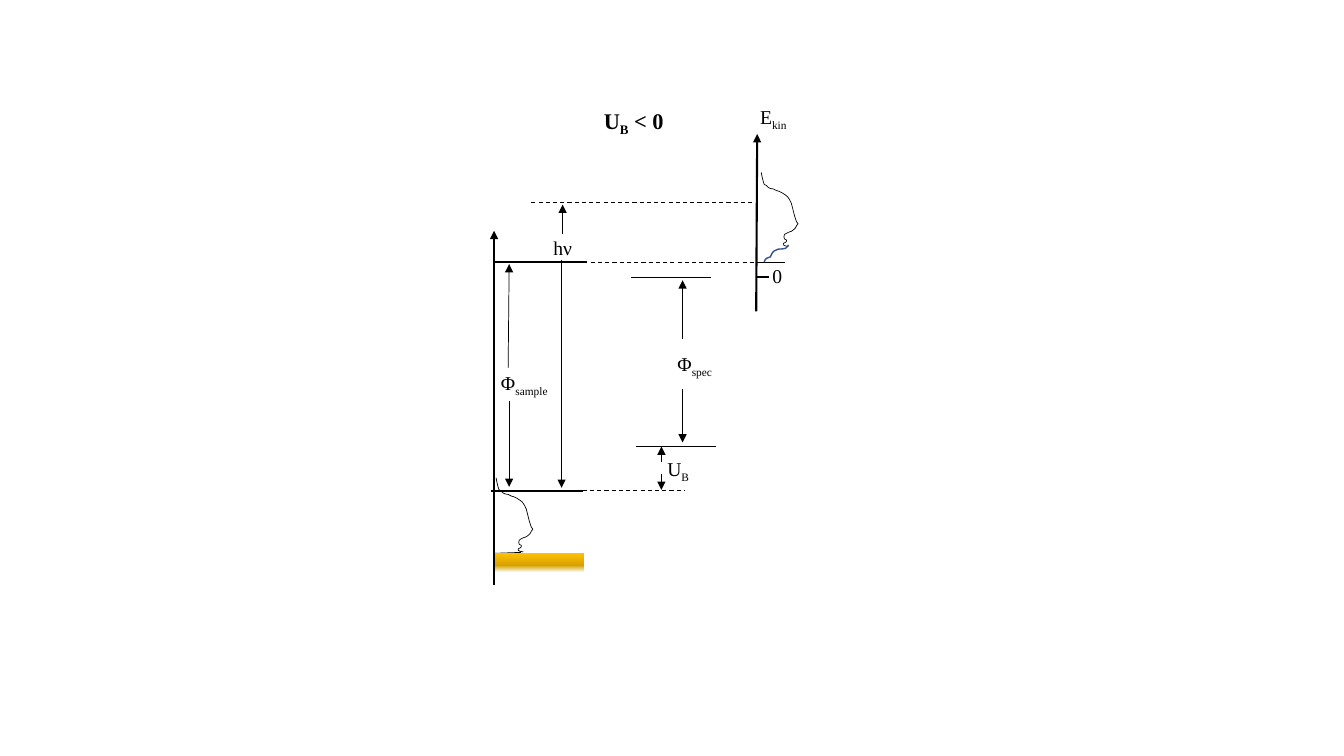
from lxml import etree
from pptx import Presentation
from pptx import util as u
from pptx.dml.color import RGBColor
from pptx.enum import dml, shapes, text
from pptx.oxml.ns import qn

FONT = "Times New Roman"
BLACK, BLUE = "000000", "325491"

# Emission spectrum, as steps from its upper end
SPECTRUM = [
    (0, 0), (0.01, 0.05), (0.02, 0.09), (0.03, 0.12), (0.05, 0.13), (0.07, 0.15),
    (0.09, 0.16), (0.12, 0.165), (0.15, 0.18), (0.18, 0.19), (0.21, 0.205),
    (0.24, 0.225), (0.26, 0.24), (0.28, 0.27), (0.3, 0.31), (0.31, 0.35),
    (0.32, 0.39), (0.33, 0.43), (0.34, 0.46), (0.35, 0.49), (0.365, 0.51),
    (0.35, 0.53), (0.34, 0.55), (0.32, 0.57), (0.3, 0.585), (0.27, 0.595),
    (0.24, 0.61), (0.23, 0.62), (0.225, 0.64), (0.23, 0.66), (0.25, 0.67),
    (0.25, 0.685), (0.24, 0.695), (0.22, 0.705), (0.22, 0.72), (0.24, 0.73),
    (0.27, 0.735),
]
# Secondary electron tail, as steps from its upper end
SECONDARIES = [
    (0, 0), (-0.01, 0.015), (-0.02, 0.025), (-0.03, 0.035), (-0.06, 0.04),
    (-0.1, 0.042), (-0.12, 0.05), (-0.14, 0.06), (-0.16, 0.08), (-0.17, 0.1),
    (-0.18, 0.12), (-0.21, 0.13), (-0.23, 0.145), (-0.24, 0.17),
]


def color(code):
    return RGBColor.from_string(code)


def add_text(slide, left, top, width, runs, size=14, bold=False, wrap=False,
             side=0.1, height=0.34):
    """Runs are (string, is_subscript) pairs."""
    label = slide.shapes.add_textbox(*map(u.Inches, (left, top, width, height)))
    frame = label.text_frame
    frame.word_wrap = wrap
    frame.auto_size = text.MSO_AUTO_SIZE.SHAPE_TO_FIT_TEXT
    frame.margin_left = frame.margin_right = u.Inches(side)
    for string, subscript in runs:
        run = frame.paragraphs[0].add_run()
        run.text = string
        font = run.font
        font.name, font.size, font.bold = FONT, u.Pt(size), bold
        font.color.rgb = color(BLACK)
        if subscript:
            font._element.set("baseline", "-25000")


def add_line(slide, x1, y1, x2, y2, weight=0.5, arrow=False, dashed=False):
    line = slide.shapes.add_connector(
        shapes.MSO_CONNECTOR.STRAIGHT, *map(u.Inches, (x1, y1, x2, y2)))
    line.line.color.rgb = color(BLACK)
    line.line.width = u.Pt(weight)
    if dashed:
        line.line.dash_style = dml.MSO_LINE.DASH
    if arrow:
        etree.SubElement(line.line._get_or_add_ln(), qn("a:tailEnd"), type="triangle")
    etree.SubElement(line._element.spPr, qn("a:effectLst"))


def add_curve(slide, left, top, steps, stroke=BLACK, weight=0.5):
    points = [(u.Inches(left + dx), u.Inches(top + dy)) for dx, dy in steps]
    builder = slide.shapes.build_freeform(*points[0])
    builder.add_line_segments(points[1:], close=False)
    curve = builder.convert_to_shape()
    curve.shadow.inherit = False
    curve.fill.background()
    curve.line.color.rgb = color(stroke)
    curve.line.width = u.Pt(weight)


def add_band(slide, left, top, width, height):
    band = slide.shapes.add_shape(
        shapes.MSO_SHAPE.RECTANGLE, *map(u.Inches, (left, top, width, height)))
    band.shadow.inherit = False
    band.line.fill.background()
    band.fill.gradient()
    band.fill.gradient_angle = 90
    stops = band._element.spPr.find(".//" + qn("a:gsLst"))
    for stop in list(stops):
        stops.remove(stop)
    for percent, code in ((0, "FFFFFF"), (37, "D7A200"), (100, "FFC000")):
        stop = etree.SubElement(stops, qn("a:gs"), pos=str(percent * 1000))
        etree.SubElement(stop, qn("a:srgbClr"), val=code)


def draw_sample(slide, left, top):
    vacuum, fermi, band_top = top + 0.31, top + 2.58, top + 3.2
    # Energy axis and levels
    add_line(slide, left, top + 3.51, left, top, 1.5, arrow=True)
    add_line(slide, left + 0.01, vacuum, left + 0.92, vacuum, 1)
    add_line(slide, left - 0.03, fermi, left + 0.88, fermi, 1)
    # Work function
    arrow_x = left + 0.15
    add_line(slide, arrow_x - 0.01, top + 1.36, arrow_x, vacuum + 0.02, arrow=True)
    add_line(slide, arrow_x, top + 1.69, arrow_x, fermi - 0.04, arrow=True)
    add_text(slide, left - 0.03, top + 1.34, 0.72, [("Φ", False), ("sample", True)])
    # Photon energy
    photon_x = left + 0.67
    add_line(slide, photon_x + 0.01, top + 0.03, photon_x + 0.01, top - 0.26, arrow=True)
    add_line(slide, photon_x, vacuum - 0.02, photon_x, fermi - 0.03, arrow=True)
    add_text(slide, left + 0.49, top, 0.39, [("hν", False)])
    # Occupied states
    add_curve(slide, left + 0.02, fermi - 0.13, SPECTRUM)
    add_line(slide, left + 0.27, band_top - 0.01, left - 0.01, band_top)
    add_band(slide, left + 0.01, band_top, 0.88, 0.19)


def draw_spectrometer_levels(slide, left, top):
    fermi, sample_fermi = top + 1.68, top + 2.12
    # Levels
    for level_left, level in ((left, top), (left + 0.05, fermi)):
        add_line(slide, level_left, level, level_left + 0.79, level, 1)
    # Work function
    arrow_x = left + 0.51
    add_line(slide, arrow_x, top + 0.61, arrow_x, top + 0.03, arrow=True)
    add_line(slide, arrow_x, top + 1.11, arrow_x, fermi - 0.04, arrow=True)
    add_text(slide, left + 0.36, top + 0.69, 0.58, [("Φ", False), ("spec", True)])
    # Bias
    bias_x = left + 0.3
    add_line(slide, bias_x, fermi + 0.15, bias_x, fermi, arrow=True)
    add_line(slide, bias_x, fermi + 0.27, bias_x, sample_fermi - 0.01, arrow=True)
    add_text(slide, left + 0.26, fermi + 0.05, 0.43, [("U", False), ("B", True)])


def draw_kinetic_axis(slide, left, top):
    cutoff, zero = top + 1.61, top + 1.76
    # Axis with zero mark
    add_line(slide, left, top + 2.1, left + 0.01, top + 0.34, 1.5, arrow=True)
    add_line(slide, left, zero, left + 0.13, zero, 1.5)
    add_text(slide, left + 0.16, zero - 0.18, 0.05, [("0", False)], wrap=True, side=0)
    add_text(slide, left - 0.06, top, 0.5, [("E", False), ("kin", True)], wrap=True)
    # Measured spectrum
    add_curve(slide, left + 0.05, top + 0.72, SPECTRUM)
    add_line(slide, left + 0.29, cutoff, left + 0.01, cutoff)
    add_curve(slide, left + 0.32, top + 1.44, SECONDARIES, stroke=BLUE, weight=1)


def draw_alignment(slide, left, top):
    # Dashed links between the sample and the spectrometer
    for start, end, drop in ((0, 2.2, 0), (0.59, 2.22, 0.59), (0.51, 1.52, 2.86)):
        add_line(slide, left + start, top + drop, left + end, top + drop, 0.75, dashed=True)


def main():
    deck = Presentation()
    deck.slide_width, deck.slide_height = u.Inches(13.33), u.Inches(7.5)
    slide = deck.slides.add_slide(deck.slide_layouts[6])
    draw_alignment(slide, 5.27, 2.01)
    draw_sample(slide, 4.9, 2.29)
    draw_spectrometer_levels(slide, 6.26, 2.75)
    draw_kinetic_axis(slide, 7.5, 0.99)
    add_text(slide, 5.89, 1.01, 0.83, [("U", False), ("B", True), (" < 0", False)],
             size=16, bold=True, height=0.37)
    deck.save("out.pptx")


if __name__ == "__main__":
    main()
